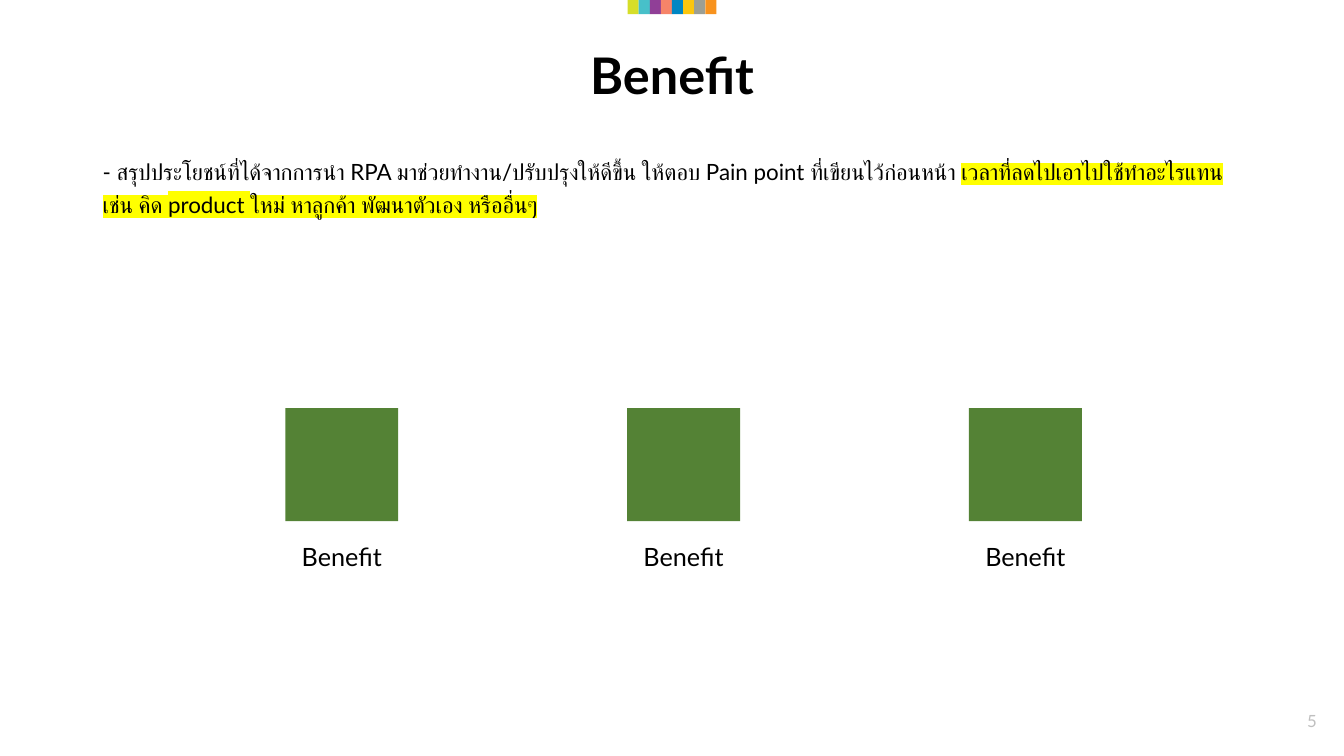
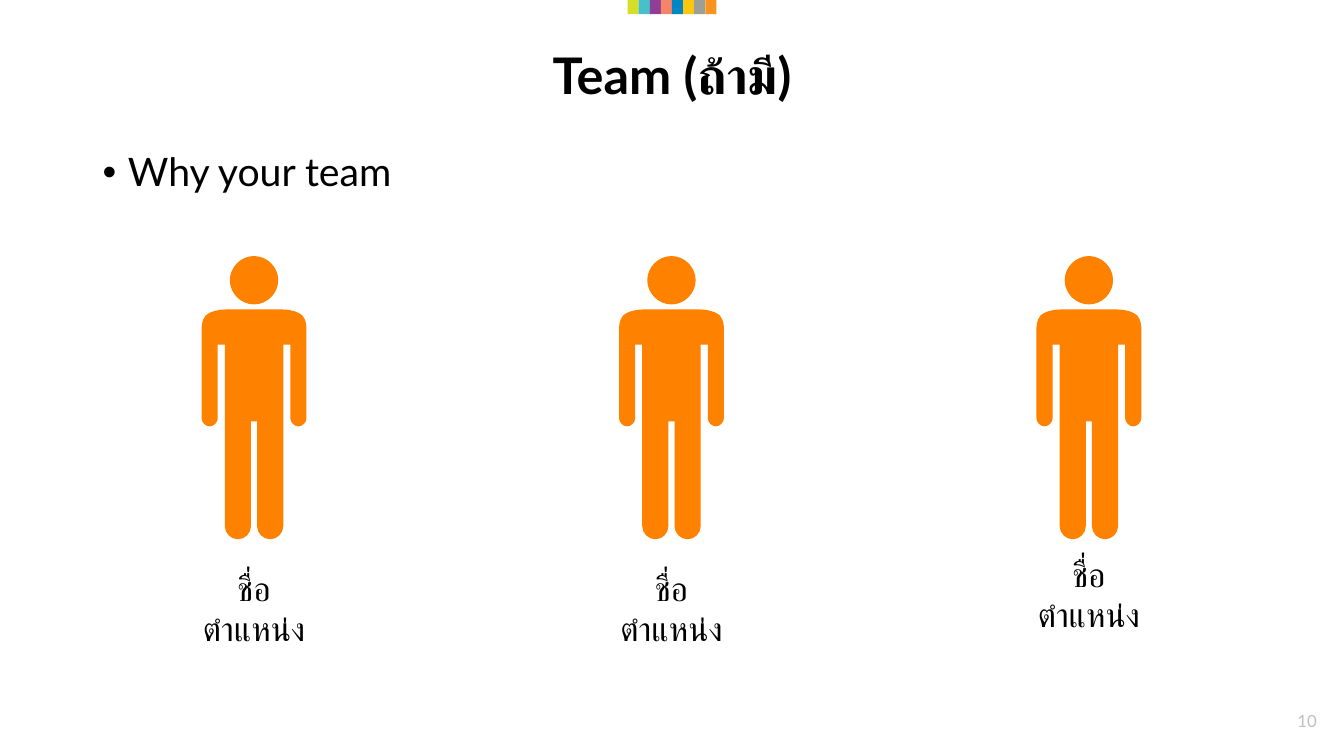
from lxml import etree
from pptx import Presentation
from pptx import util as u
from pptx.dml.color import RGBColor
from pptx.enum import shapes, text
from pptx.oxml.ns import qn

W, H = 13.33, 7.5
FONT = "Lato"
BLACK, GREY, GREEN, ORANGE, YELLOW = "000000", "BFBFBF", "548235", "FF8100", "FFFF00"
STRIPES = ["D6DE29", "47C0C9", "903F97", "F68469", "0086C3", "FBC60E", "9C9F94", "F8931E"]
STRIPE_W, STRIPE_H = 0.11, 0.14
MARGIN = 0.92
BODY_W = W - 2 * MARGIN
BODY_TOP = 1.47

BENEFIT_TITLE, BENEFIT_PAGE = "Benefit", "5"
BENEFIT_BODY = [
    ("- สรุปประโยชน์ที่ได้จากการนำ RPA มาช่วยทำงาน/ปรับปรุงให้ดีขึ้น ให้ตอบ Pain point ที่เขียนไว้ก่อนหน้า ", None),
    ("เวลาที่ลดไปเอาไปใช้ทำอะไรแทน เช่น คิด product ใหม่ หาลูกค้า พัฒนาตัวเอง หรืออื่นๆ", YELLOW),
]
BENEFITS = ["Benefit", "Benefit", "Benefit"]
BENEFIT_X, BENEFIT_PITCH = 3.39, 3.39

TEAM_TITLE, TEAM_PAGE = "Team (ถ้ามี)", "10"
TEAM_BODY = [("Why your team", None)]
MEMBERS = [("ชื่อ", "ตำแหน่ง", 5.63), ("ชื่อ", "ตำแหน่ง", 5.63), ("ชื่อ", "ตำแหน่ง", 5.49)]
MEMBER_X, MEMBER_PITCH = 2.52, 4.14
MEMBER_TOP = 2.54

ON, OFF = True, False
HEAD_SIDE = [
    (0, 0, ON), (0.13, 0, OFF), (0.24, 0.11, OFF), (0.24, 0.24, ON),
    (0.24, 0.37, OFF), (0.13, 0.48, OFF), (0, 0.48, ON),
]
BODY_SIDE = [
    (0.28, 0.53, ON), (0.37, 0.53, OFF), (0.45, 0.56, OFF), (0.48, 0.59, ON),
    (0.52, 0.64, OFF), (0.52, 0.7, OFF), (0.52, 0.73, ON),
    (0.52, 1.61, ON), (0.52, 1.65, OFF), (0.48, 1.69, OFF), (0.44, 1.69, ON),
    (0.4, 1.69, OFF), (0.36, 1.65, OFF), (0.36, 1.61, ON),
    (0.36, 0.88, ON), (0.29, 0.88, ON),
    (0.29, 2.68, ON), (0.29, 2.75, OFF), (0.23, 2.81, OFF), (0.16, 2.81, ON),
    (0.09, 2.81, OFF), (0.03, 2.75, OFF), (0.03, 2.68, ON), (0.03, 1.64, ON),
]

LEFT, CENTER, RIGHT = text.PP_ALIGN.LEFT, text.PP_ALIGN.CENTER, text.PP_ALIGN.RIGHT
TOP, MIDDLE = text.MSO_ANCHOR.TOP, text.MSO_ANCHOR.MIDDLE


def color(value):
    return RGBColor.from_string(value)


def paint(sp, fill):
    sp.shadow.inherit = False
    sp.fill.solid()
    sp.fill.fore_color.rgb = color(fill)
    sp.line.fill.background()


def add_rect(parent, x, y, w, h, fill):
    sp = parent.shapes.add_shape(shapes.MSO_SHAPE.RECTANGLE, *map(u.Inches, (x, y, w, h)))
    paint(sp, fill)


def add_run(p, content, size, ink, bold, highlight):
    r = p.add_run()
    r.text = content
    r.font.size = u.Pt(size)
    r.font.bold = bold
    r.font.color.rgb = color(ink)
    r.font.name = FONT
    if highlight:
        mark = etree.Element(qn("a:highlight"))
        etree.SubElement(mark, qn("a:srgbClr"), val=highlight)
        r._r.rPr.find(qn("a:latin")).addprevious(mark)


def add_text(parent, box, paragraphs, size, align=CENTER, anchor=MIDDLE, ink=BLACK,
             bold=False, spacing=None, inset=True, bullet=False):
    tf = parent.shapes.add_textbox(*map(u.Inches, box)).text_frame
    tf.word_wrap = True
    tf.vertical_anchor = anchor
    if not inset:
        tf.margin_left = tf.margin_right = tf.margin_top = tf.margin_bottom = 0
    for i, runs in enumerate(paragraphs):
        p = tf.add_paragraph() if i else tf.paragraphs[0]
        p.alignment = align
        if spacing:
            p.line_spacing = spacing
        if bullet:
            ppr = p._p.get_or_add_pPr()
            ppr.set("marL", str(u.Inches(0.25)))
            ppr.set("indent", str(u.Inches(-0.25)))
            etree.SubElement(ppr, qn("a:buFont"), typeface="Arial")
            etree.SubElement(ppr, qn("a:buChar"), char="•")
        for content, highlight in runs:
            add_run(p, content, size, ink, bold, highlight)


def mirrored(side):
    return side + [(-x, y, on) for x, y, on in reversed(side) if x]


def closed(contour):
    return contour if contour[-1][2] else contour + contour[:1]


def curve_to(line, controls, left, top):
    curve = etree.Element(qn("a:cubicBezTo"))
    for x, y in controls:
        etree.SubElement(curve, qn("a:pt"), x=str(round(x - left)), y=str(round(y - top)))
    curve.append(line[0])
    line.getparent().replace(line, curve)


def add_person(s, cx, top):
    units = 1000
    builder, segments, anchors = None, [], []
    for side in (HEAD_SIDE, BODY_SIDE):
        points = [((cx + x) * units, (top + y) * units, on)
                  for x, y, on in closed(mirrored(side))]
        ends, controls = [], []
        for x, y, on in points[1:]:
            if on:
                ends.append((x, y))
                segments.append(controls)
                controls = []
            else:
                controls.append((x, y))
        start = points[0][:2]
        anchors += [start] + ends
        if builder is None:
            builder = s.shapes.build_freeform(*start, scale=u.Inches(1) / units)
        else:
            builder.move_to(*start)
        builder.add_line_segments(ends, close=True)
    sp = builder.convert_to_shape()
    x0, y0 = (min(axis) for axis in zip(*anchors))
    lines = list(sp._element.iter(qn("a:lnTo")))
    for line, controls in zip(lines, segments):
        if controls:
            curve_to(line, controls, x0, y0)
    paint(sp, ORANGE)


def add_stripes(s, layout):
    group = s.shapes.add_group_shape()
    left = (W - STRIPE_W * len(STRIPES)) / 2
    for i, fill in enumerate(STRIPES):
        add_rect(group, left + i * STRIPE_W, 0, STRIPE_W, STRIPE_H, fill)
    layout.element.cSld.spTree.append(group._element)


def add_slide(prs, title, page):
    s = prs.slides.add_slide(prs.slide_layouts[6])
    add_text(s, (MARGIN, 0.41, BODY_W, 0.74), [[(title, None)]], 36, bold=True, spacing=0.9)
    add_text(s, (10.16, 6.95, 3, 0.4), [[(page, None)]], 12, align=RIGHT, ink=GREY)
    return s


def benefit_slide(prs):
    s = add_slide(prs, BENEFIT_TITLE, BENEFIT_PAGE)
    add_text(s, (MARGIN, BODY_TOP, BODY_W, 5.29), [BENEFIT_BODY], 16, LEFT, TOP, spacing=1.2)
    group = s.shapes.add_group_shape()
    side, label_w = 1.12, 1.37
    for i, label in enumerate(BENEFITS):
        cx = BENEFIT_X + i * BENEFIT_PITCH
        add_rect(group, cx - side / 2, 4.05, side, side, GREEN)
        add_text(group, (cx - label_w / 2, 5.37, label_w, 0.3), [[(label, None)]], 18, inset=False)
    return s


def team_slide(prs):
    s = add_slide(prs, TEAM_TITLE, TEAM_PAGE)
    add_text(s, (MARGIN, BODY_TOP, BODY_W, 0.74), [TEAM_BODY], 28, LEFT, TOP,
             spacing=0.9, bullet=True)
    label_w = 1.77
    for i, (name, role, label_top) in enumerate(MEMBERS):
        cx = MEMBER_X + i * MEMBER_PITCH
        add_person(s, cx, MEMBER_TOP)
        add_text(s, (cx - label_w / 2, label_top, label_w, 0.81),
                 [[(name, None)], [(role, None)]], 24, inset=False)


def main():
    prs = Presentation()
    prs.slide_width, prs.slide_height = u.Inches(W), u.Inches(H)
    add_stripes(benefit_slide(prs), prs.slide_layouts[6])
    team_slide(prs)
    prs.save("out.pptx")


if __name__ == "__main__":
    main()
